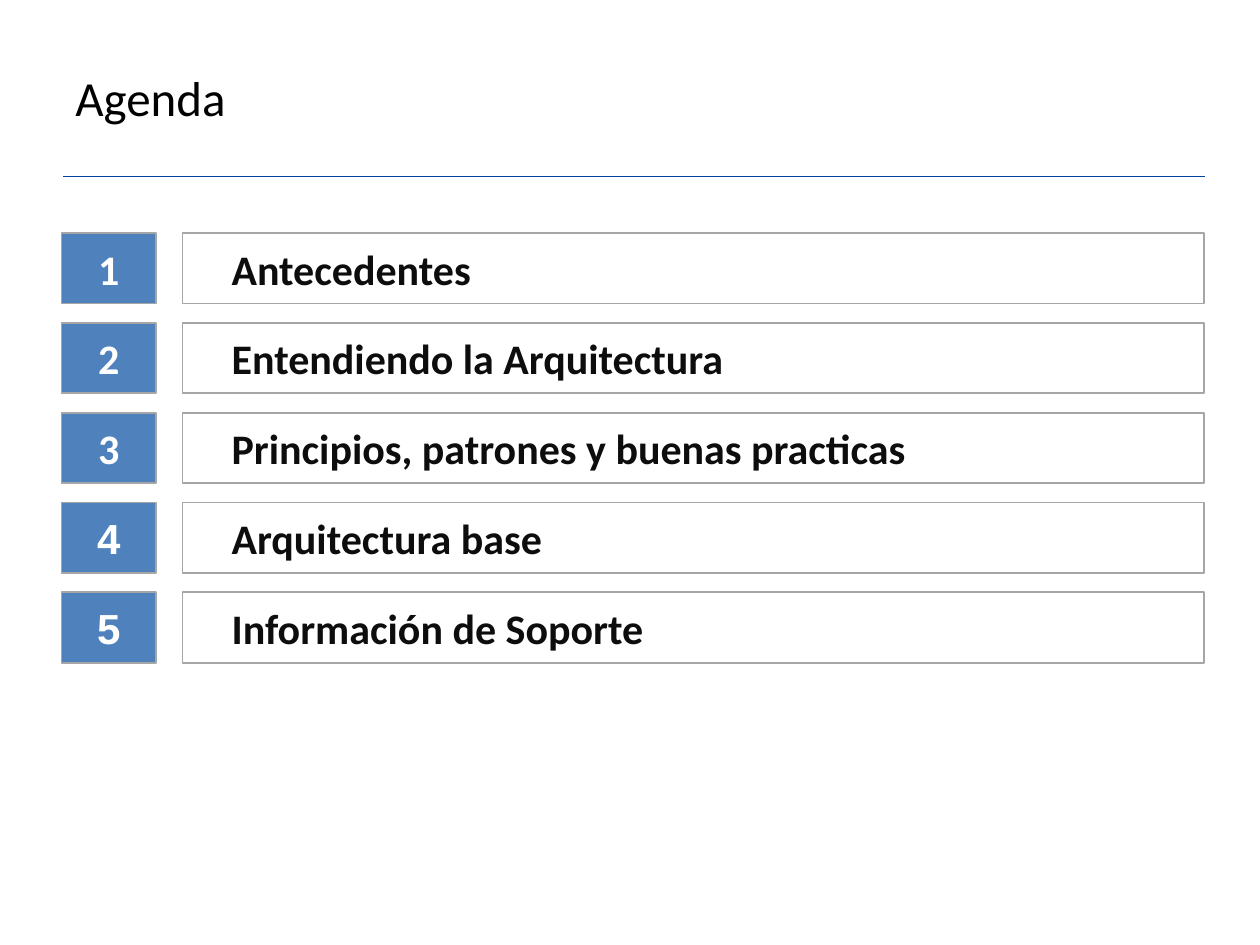
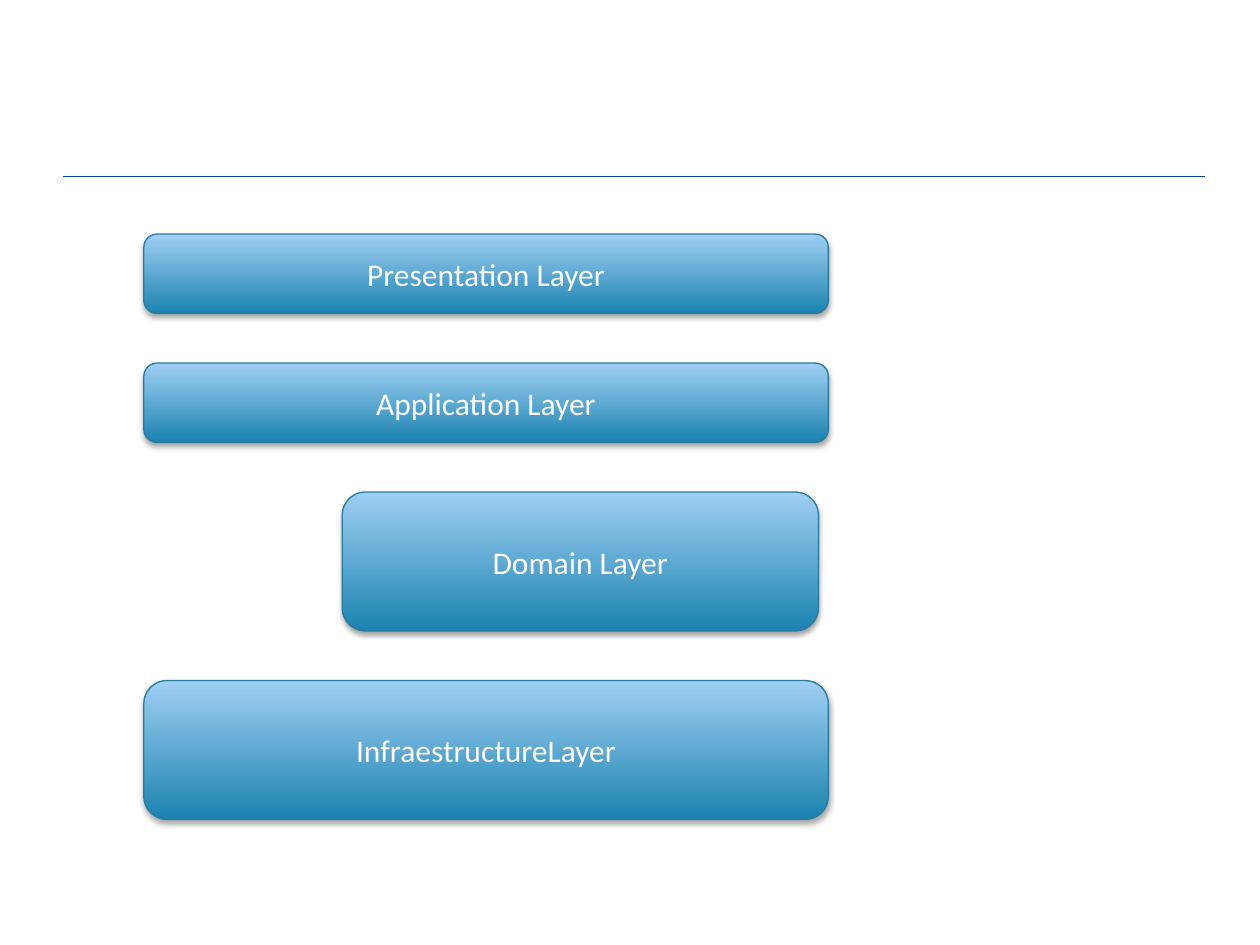
from pptx import Presentation
from pptx import util as u
from pptx.dml.color import RGBColor
from pptx.enum import shapes, text
from pptx.oxml import parse_xml
from pptx.oxml.ns import nsdecls

WHITE = RGBColor(0xFF, 0xFF, 0xFF)
BLACK = RGBColor(0, 0, 0)
INK = RGBColor(0x0D, 0x0D, 0x0D)
NAVY = RGBColor(0x00, 0x41, 0xA1)
BLUE = RGBColor(0x4F, 0x81, 0xBD)
GREY = RGBColor(0xA6, 0xA6, 0xA6)
DEEP = RGBColor(0x1B, 0x83, 0xB0)
SKY = RGBColor(0xA0, 0xCF, 0xF4)
EDGE = RGBColor(0x28, 0x7A, 0x9E)
KIND = shapes.MSO_SHAPE
MID = text.PP_ALIGN.CENTER
LEFT = text.PP_ALIGN.LEFT


def write(box, words, size=24, color=BLACK, bold=False, font="Calibri",
          align=LEFT, inset=0.25, lead=0):
    frame = box.text_frame
    frame.word_wrap = True
    frame.vertical_anchor = text.MSO_ANCHOR.MIDDLE
    frame.margin_left = u.Cm(inset)
    para = frame.paragraphs[0]
    para.alignment = align
    if lead:
        para._p.get_or_add_pPr().insert(0, parse_xml(
            f'<a:spcBef {nsdecls("a")}><a:spcPct val="{lead * 1000}"/></a:spcBef>'))
    run = para.add_run()
    run.text = words
    run.font.size = u.Pt(size)
    run.font.name = font
    run.font.bold = bold
    run.font.color.rgb = color


def block(slide, kind, left, top, width, height, edge, weight):
    box = slide.shapes.add_shape(kind, u.Cm(left), u.Cm(top), u.Cm(width), u.Cm(height))
    box.shadow.inherit = False
    box.line.color.rgb = edge
    box.line.width = u.Pt(weight)
    return box


deck = Presentation()
deck.slide_width = u.Cm(25.4)
deck.slide_height = u.Cm(19.05)
agenda, layers = [deck.slides.add_slide(deck.slide_layouts[6]) for _ in range(2)]

for slide in (agenda, layers):
    slide.background.fill.solid()
    slide.background.fill.fore_color.rgb = WHITE
    rule = slide.shapes.add_connector(
        shapes.MSO_CONNECTOR.STRAIGHT, u.Cm(1.27), u.Cm(3.56), u.Cm(24.3), u.Cm(3.56))
    rule.line.color.rgb = NAVY
    rule.line.width = u.Pt(1)
    rule._element.spPr.append(parse_xml(f'<a:effectLst {nsdecls("a")}/>'))

title = agenda.shapes.add_textbox(u.Cm(1.27), u.Cm(0.89), u.Cm(18.69), u.Cm(2.11))
write(title, "Agenda", size=28)

topics = [
    ("Antecedentes", "Calibri"),
    ("Entendiendo la Arquitectura", "Calibri"),
    ("Principios, patrones y buenas practicas", "Calibri"),
    ("Arquitectura base", "Arial"),
    ("Información de Soporte", "Arial"),
]
for row, (topic, font) in enumerate(topics):
    top = 4.7 + row * 1.81
    bar = block(agenda, KIND.RECTANGLE, 3.68, top, 20.6, 1.42, GREY, 1)
    bar.fill.solid()
    bar.fill.fore_color.rgb = WHITE
    write(bar, topic, color=INK, bold=True, inset=0.99, lead=20)
    tile = block(agenda, KIND.RECTANGLE, 1.24, top, 1.91, 1.42, GREY, 1)
    tile.fill.solid()
    tile.fill.fore_color.rgb = BLUE
    write(tile, str(row + 1), color=WHITE, bold=True, font=font, align=MID, lead=20)

stack = [
    ("Presentation Layer", 2.9, 13.8, 1.6),
    ("Application Layer", 2.9, 13.8, 1.6),
    ("Domain Layer", 6.9, 9.6, 2.8),
    ("InfraestructureLayer", 2.9, 13.8, 2.8),
]
top = 4.72
for name, left, width, height in stack:
    box = block(layers, KIND.ROUNDED_RECTANGLE, left, top, width, height, EDGE, 0.75)
    box.fill.gradient()
    box.fill.gradient_angle = 90
    for stop, place, color in zip(box.fill.gradient_stops, (0, 1), (DEEP, SKY)):
        stop.position = place
        stop.color.rgb = color
    box._element.spPr.find("{*}effectLst").append(parse_xml(
        f'<a:outerShdw {nsdecls("a")} blurRad="{u.Pt(3.1)}" dist="{u.Pt(1.8)}" '
        'dir="5400000" rotWithShape="0"><a:srgbClr val="000000">'
        '<a:alpha val="35000"/></a:srgbClr></a:outerShdw>'))
    write(box, name, size=18, color=WHITE, align=MID)
    top += height + 1

deck.save("out.pptx")
